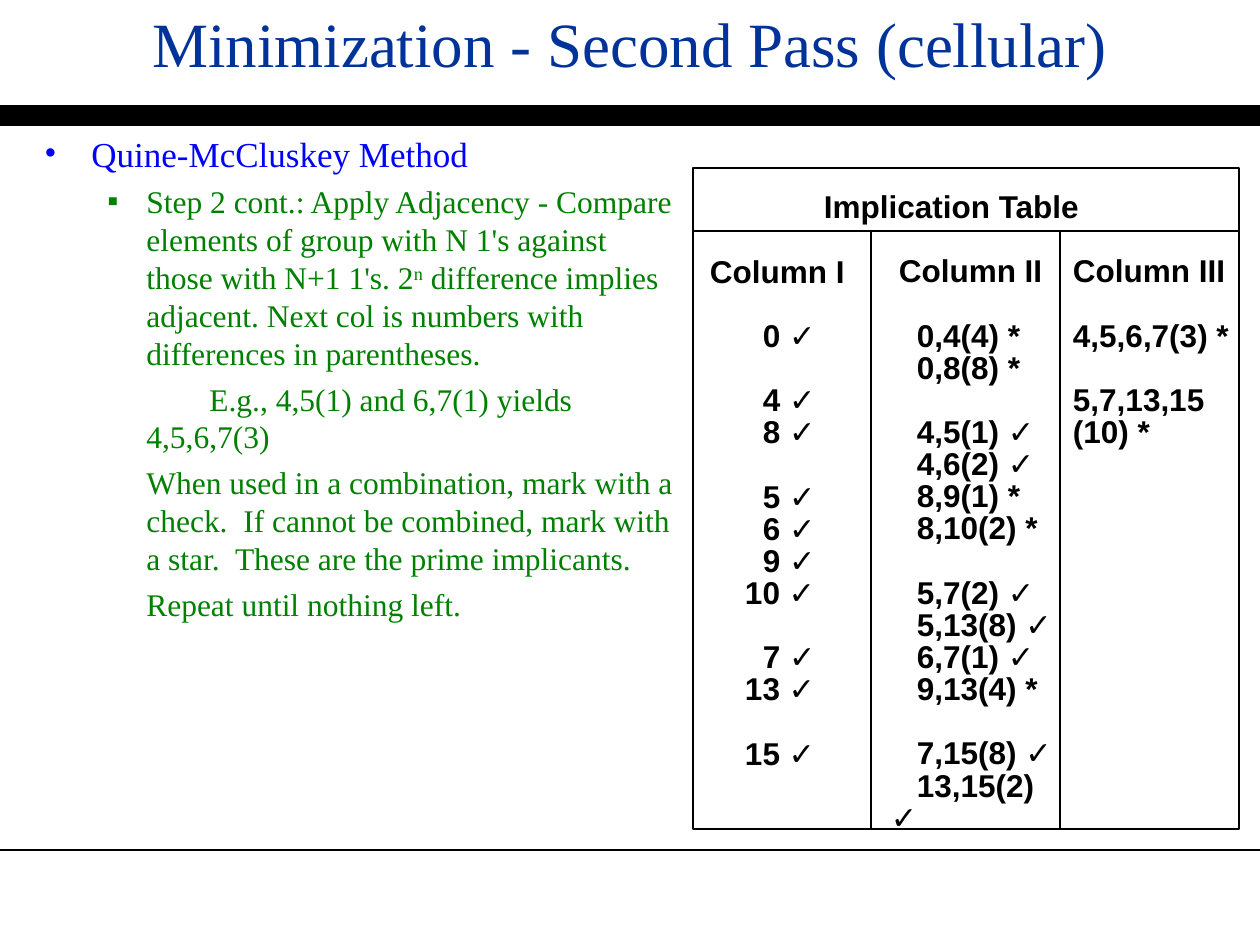
from pptx import Presentation
from pptx.dml.color import RGBColor as Rgb
from pptx.enum.shapes import MSO_CONNECTOR as Conn, MSO_SHAPE as Kind
from pptx.enum.text import MSO_ANCHOR as Anchor, MSO_AUTO_SIZE as Auto, PP_ALIGN as Align
from pptx.oxml import parse_xml
from pptx.oxml.ns import nsdecls
from pptx.util import Emu, Pt

SCALE = 914400 // 126
BLACK = Rgb(0, 0, 0)
NAVY = Rgb(0, 0x33, 0x99)
BLUE = Rgb(0, 0, 0xFF)
GREEN = Rgb(0, 0x80, 0)
SERIF = "Times New Roman"
SANS = "Arial"
ROW = 18.36

STEPS = [
    ("Step 2 cont.: Apply Adjacency - Compare elements of group with N 1's "
     "against those with N+1 1's. 2^n^ difference implies adjacent. Next col "
     "is numbers with differences in parentheses.", dict(first=-39, bullet="▪")),
    ("E.g., 4,5(1) and 6,7(1) yields 4,5,6,7(3)", dict(first=63)),
    ("When used in a combination, mark with a check.  If cannot be combined, "
     "mark with a star.  These are the prime implicants.", {}),
    ("Repeat until nothing left.", {}),
]
ONES = [["0 ✓"], ["4 ✓", "8 ✓"], ["5 ✓", "6 ✓", "9 ✓", "10 ✓"],
        ["7 ✓", "13 ✓"], ["15 ✓"]]
PAIRS = [["0,4(4) *", "0,8(8) *"],
         ["4,5(1) ✓", "4,6(2) ✓", "8,9(1) *", "8,10(2) *"],
         ["5,7(2) ✓", "5,13(8) ✓", "6,7(1) ✓", "9,13(4) *"],
         ["7,15(8) ✓", "13,15(2) ✓"]]
QUADS = [["4,5,6,7(3) *"], ["5,7,13,15 (10) *"]]


def px(n):
    return Emu(n * SCALE)


def write(frame, text, size=18, font=SANS, color=BLACK, bold=False, left=0,
          first=0, before=0, pitch=None, align=Align.LEFT, bullet=None):
    para = frame.paragraphs[0]
    if para.runs:
        para = frame.add_paragraph()
    para.alignment = align
    para.space_before = Pt(before)
    if pitch:
        para.line_spacing = Pt(pitch)
    props = para._p.get_or_add_pPr()
    props.set("marL", str(px(left)))
    props.set("indent", str(px(first)))
    space = nsdecls("a")
    if bullet:
        props.append(parse_xml(f'<a:buFont {space} typeface="{font}"/>'))
        props.append(parse_xml(f'<a:buChar {space} char="{bullet}"/>'))
    else:
        props.append(parse_xml(f'<a:buNone {space}/>'))
    for i, part in enumerate(text.split("^")):
        run = para.add_run()
        run.text = part
        run.font.size = Pt(size)
        run.font.name = font
        run.font.bold = bold
        run.font.color.rgb = color
        if i % 2:
            run._r.get_or_add_rPr().set("baseline", "30000")


def rule(slide, x1, y1, x2, y2, width=0.75):
    line = slide.shapes.add_connector(Conn.STRAIGHT, *map(px, (x1, y1, x2, y2)))
    line.line.color.rgb = BLACK
    line.line.width = Pt(width)
    line._element.spPr.append(parse_xml(f'<a:effectLst {nsdecls("a")}/>'))


def head(slide, x, y, w, h):
    title = slide.shapes.title
    title.left, title.top, title.width, title.height = map(px, (x, y, w, h))
    frame = title.text_frame
    frame.auto_size = Auto.NONE
    frame.word_wrap = True
    frame.vertical_anchor = Anchor.TOP
    frame.margin_left = frame.margin_right = px(5)
    frame.margin_top, frame.margin_bottom = px(4), 0
    write(frame, "Minimization - Second Pass (cellular)", size=36, font=SERIF,
          color=NAVY, align=Align.CENTER)


def notes(slide, x, y, w, h):
    frame = slide.shapes.add_textbox(*map(px, (x, y, w, h))).text_frame
    frame.word_wrap = True
    write(frame, "Quine-McCluskey Method", size=20, font=SERIF, color=BLUE,
          left=47, first=-47, pitch=24, bullet="•")
    for text, form in STEPS:
        write(frame, text, font=SERIF, color=GREEN, left=102, before=4.5,
              pitch=21.65, **form)


def column(slide, x, y, w, h, name, groups, place, top=4, side=9, inset=8, title=None):
    frame = slide.shapes.add_textbox(*map(px, (x, y, w, h))).text_frame
    frame.word_wrap = True
    frame.margin_left = frame.margin_right = px(side)
    frame.margin_top, frame.margin_bottom = px(top), px(4)
    if title:
        write(frame, title, bold=True, left=122, pitch=ROW)
    write(frame, name, bold=True, left=inset, pitch=ROW,
          before=ROW if title else 0)
    for group in groups:
        for i, text in enumerate(group):
            write(frame, text, bold=True, pitch=ROW,
                  before=0 if i else ROW, **place(text))


def grid(slide, x, y, w, h):
    column(slide, x, y + 21, 397, 617, "Column I", ONES,
           lambda text: dict(left=79 - 18 * len(text.split()[0])),
           title="Implication Table")
    column(slide, x + 189, y + 21, 190, 617, "Column II", PAIRS,
           lambda text: dict(first=26), top=68)
    box = slide.shapes.add_shape(Kind.RECTANGLE, *map(px, (x, y, w, h)))
    box.shadow.inherit = False
    box.fill.background()
    box.line.color.rgb = BLACK
    box.line.width = Pt(0.75)
    rule(slide, x, y + 63, x + w, y + 63)
    for step in (178, 367):
        rule(slide, x + step, y + 63, x + step, y + h)
    column(slide, x + 368, y + 83, 184, 205, "Column III", QUADS,
           lambda text: {}, top=6, side=12, inset=0)


deck = Presentation()
deck.slide_width, deck.slide_height = px(1260), px(945)
page = deck.slides.add_slide(deck.slide_layouts[5])
rule(page, 0, 116, 1260, 116, width=12)
rule(page, 0, 850, 1260, 850, width=1.5)
head(page, 144, 0, 972, 83)
notes(page, 32, 126, 661, 724)
grid(page, 693, 168, 546, 661)
deck.save("out.pptx")
